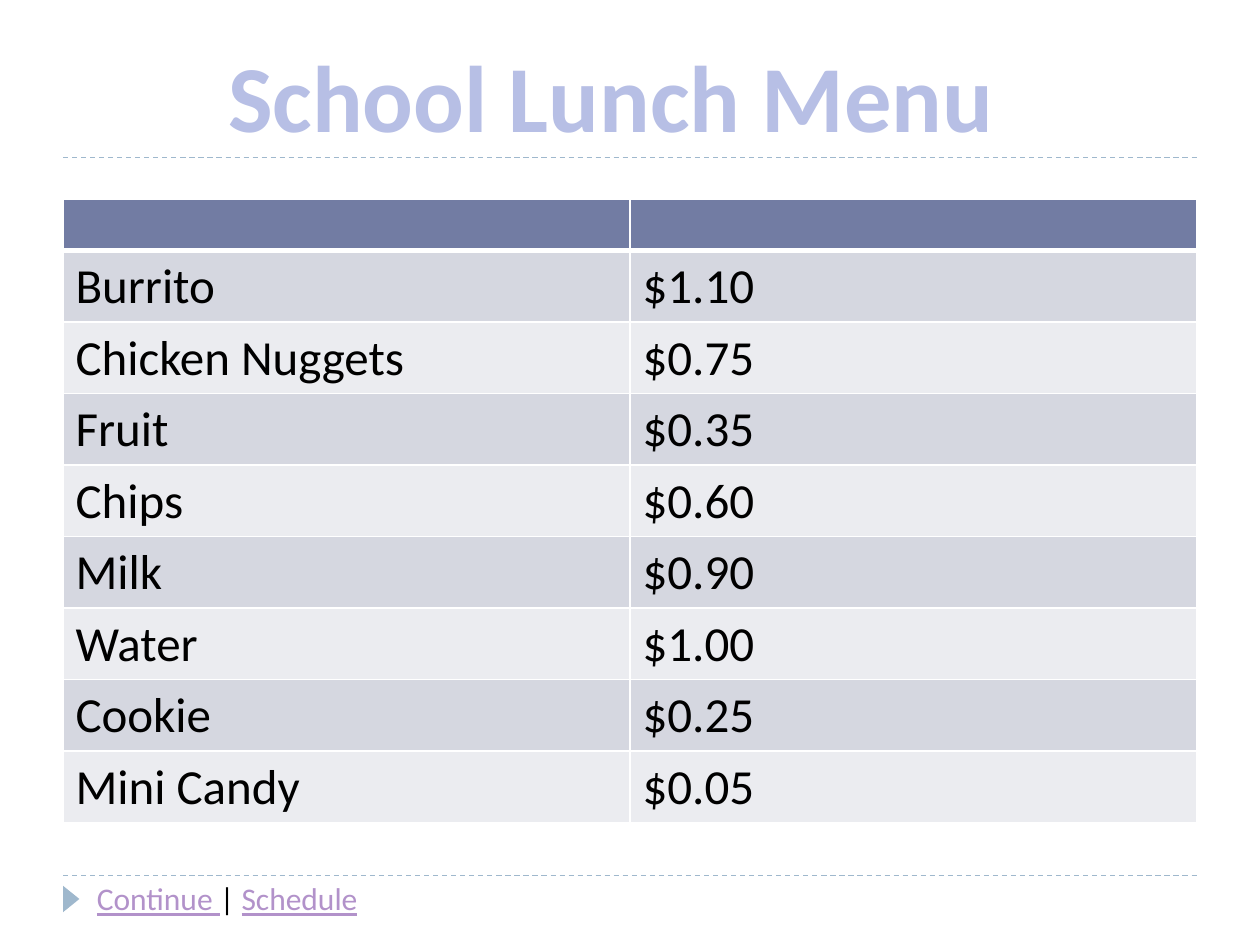
from lxml import etree
from pptx import Presentation, util as u
from pptx.dml.color import RGBColor
from pptx.enum import dml, shapes, text
from pptx.oxml.ns import qn


def tint(code):
    """Turn a hex string into a colour."""
    return RGBColor.from_string(code)


def write(para, words, size=18, color="000000", bold=False, line=False, font="Calibri"):
    """Add a run of text with its format."""
    run = para.add_run()
    run.text = words
    run.font.name, run.font.size = font, u.Pt(size)
    run.font.bold, run.font.underline = bold, line
    run.font.color.rgb = tint(color)


def edge(cell, side, width):
    """Draw one white border of a cell."""
    ln = etree.Element(qn(f"a:ln{side}"), w=str(u.Pt(width)))
    fill = etree.SubElement(ln, qn("a:solidFill"))
    etree.SubElement(fill, qn("a:srgbClr"), val="FFFFFF")
    return ln


class Page:
    """Hold the style and the current slide on a grid of 20 columns by 15 rows."""

    accent, head, bands = "9FB8CD", "727CA3", ("EBECF0", "D5D7E0")
    cols, rows = 20, 15

    def __init__(self, deck):
        """Start a blank slide."""
        self.wide, self.high = deck.slide_width, deck.slide_height
        self.slide = deck.slides.add_slide(deck.slide_layouts[6])
        self.items = self.slide.shapes

    def x(self, col):
        """Turn columns into a length."""
        return round(self.wide * col / self.cols)

    def y(self, row):
        """Turn rows into a length."""
        return round(self.high * row / self.rows)

    def box(self, col, row, wide, high):
        """Turn a grid area into left, top, width and height."""
        return self.x(col), self.y(row), self.x(wide), self.y(high)

    def rule(self, row):
        """Draw a dashed line between the margins."""
        line = self.items.add_connector(
            shapes.MSO_CONNECTOR.STRAIGHT, self.x(1), self.y(row), self.x(19), self.y(row))
        line.line.color.rgb = tint(self.accent)
        line.line.width = u.Pt(0.75)
        line.line.dash_style = dml.MSO_LINE.DASH
        etree.SubElement(line._element.spPr, qn("a:effectLst"))

    def mark(self, *area):
        """Draw a triangle that points right."""
        mark = self.items.add_shape(shapes.MSO_SHAPE.ISOSCELES_TRIANGLE, *self.box(*area))
        mark.rotation = 90
        mark.shadow.inherit = False
        mark.fill.solid()
        mark.fill.fore_color.rgb = tint(self.accent)
        mark.line.fill.background()

    def label(self, area, runs, align=text.PP_ALIGN.LEFT):
        """Place one line of text made of runs."""
        frame = self.items.add_textbox(*self.box(*area)).text_frame
        frame.word_wrap = False
        frame.auto_size = text.MSO_AUTO_SIZE.SHAPE_TO_FIT_TEXT
        para = frame.paragraphs[0]
        para.alignment = align
        for words, style in runs:
            write(para, words, **style)

    def table(self, area, data, top):
        """Place a banded table under an empty header row."""
        grid = self.items.add_table(len(data) + 1, len(data[0]), *self.box(*area)).table
        for row in grid.rows:
            row.height = self.y((area[3] - top) / len(data))
        grid.rows[0].height = self.y(top)
        for r, row in enumerate([[""] * len(data[0])] + data):
            for c, words in enumerate(row):
                cell = grid.cell(r, c)
                if words:
                    write(cell.text_frame.paragraphs[0], words, size=28)
                props = cell._tc.get_or_add_tcPr()
                for side in "LRTB":
                    heavy = (r, side) in ((0, "B"), (1, "T"))
                    props.append(edge(cell, side, 3 if heavy else 1))
                cell.fill.solid()
                cell.fill.fore_color.rgb = tint(self.bands[r % 2] if r else self.head)


def main():
    """Build the lunch menu."""
    deck = Presentation()
    deck.slide_width, deck.slide_height = u.Inches(10), u.Inches(7.5)
    page = Page(deck)
    for row in (13.9, 2.5):
        page.rule(row)
    page.mark(0.92, 14.14, 0.42, 0.26)
    link = dict(color="B292CA", line=True)
    page.label((1.34, 13.86, 4.68, 0.8),
               [("Continue ", link), ("| ", {}), ("Schedule", link)])
    page.label((2.56, 0.5, 14.28, 2.02),
               [("School Lunch Menu", dict(size=54, color="B7BFE5", bold=True))],
               text.PP_ALIGN.CENTER)
    menu = [["Burrito", "$1.10"], ["Chicken Nuggets", "$0.75"], ["Fruit", "$0.35"],
            ["Chips", "$0.60"], ["Milk", "$0.90"], ["Water", "$1.00"],
            ["Cookie", "$0.25"], ["Mini Candy", "$0.05"]]
    page.table((1, 3.16, 18, 9.88), menu, top=0.82)
    deck.save("out.pptx")


if __name__ == "__main__":
    main()
